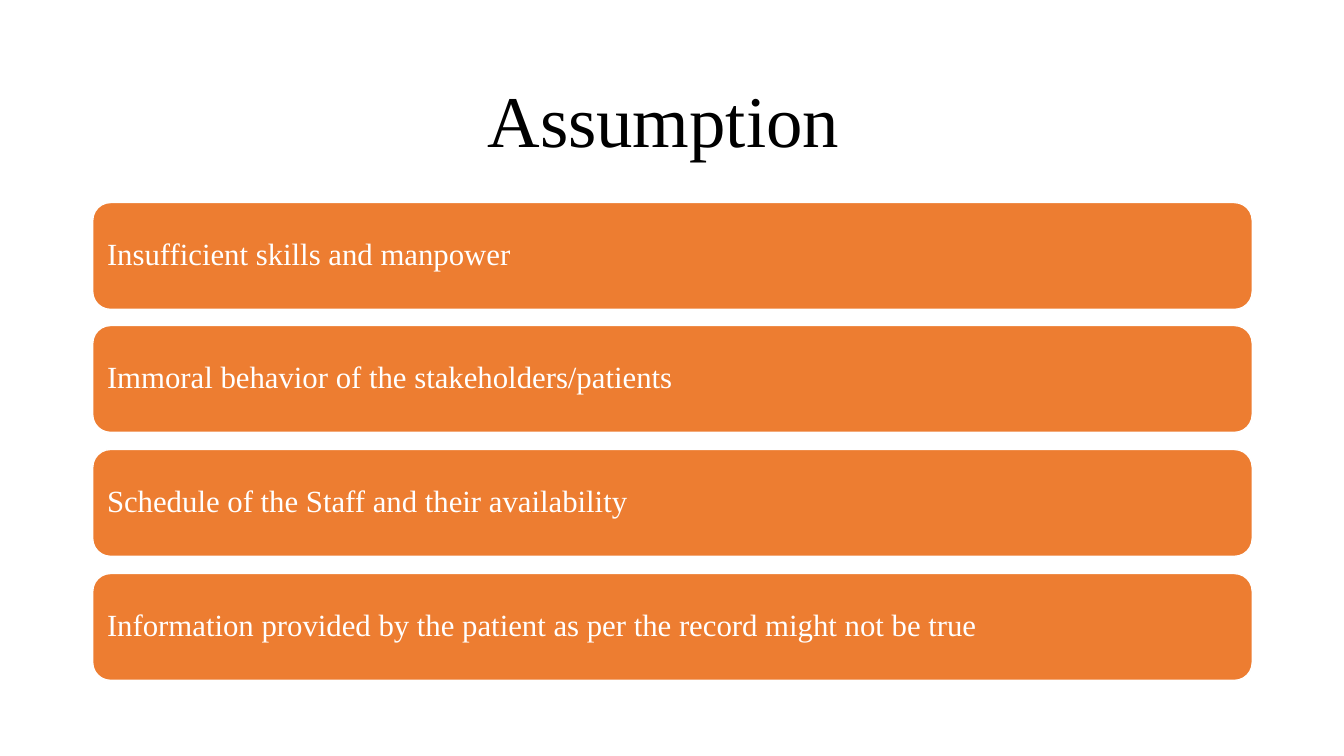
from pptx import Presentation
from pptx.dml.color import RGBColor
from pptx.enum.shapes import MSO_SHAPE as SHAPE
from pptx.enum.text import MSO_ANCHOR as ANCHOR, MSO_AUTO_SIZE as AUTO_SIZE, PP_ALIGN as ALIGN
from pptx.util import Emu, Pt

PX = 9144  # EMU per px, 100 px to the inch
FONT = "Times New Roman"
COLORS = {"title": "000000", "bar": "ED7D31", "light": "FFFFFF"}

LEFT, WIDTH = 92, 1150
BARS_TOP, BARS_BOTTOM, BAR_H = 201, 675, 106
ASSUMPTIONS = [
    "Insufficient skills and manpower",
    "Immoral behavior of the stakeholders/patients",
    "Schedule of the Staff and their availability",
    "Information provided by the patient as per the record might not be true",
]


def px(n):
    return Emu(n * PX)


def color(name):
    return RGBColor.from_string(COLORS[name])


def set_text(tf, text, size, color_name, align):
    tf.text = text
    tf.word_wrap = True
    tf.auto_size = AUTO_SIZE.NONE
    tf.vertical_anchor = ANCHOR.MIDDLE
    p = tf.paragraphs[0]
    p.alignment = align
    p.line_spacing = 0.9
    font = p.runs[0].font
    font.name, font.size = FONT, Pt(size)
    font.color.rgb = color(color_name)


def add_title(s, text):
    title = s.shapes.title
    title.left, title.top, title.width, title.height = map(px, (LEFT, 61, WIDTH, 124))
    set_text(title.text_frame, text, 52, "title", ALIGN.CENTER)


def add_bar(s, top, text):
    bar = s.shapes.add_shape(SHAPE.ROUNDED_RECTANGLE, px(LEFT), px(top), px(WIDTH), px(BAR_H))
    bar.shadow.inherit = False
    bar.fill.solid()
    bar.fill.fore_color.rgb = color("bar")
    bar.line.color.rgb = color("light")
    bar.line.width = Pt(1)
    tf = bar.text_frame
    tf.margin_left = tf.margin_right = tf.margin_top = tf.margin_bottom = px(9)
    set_text(tf, text, 22, "light", ALIGN.LEFT)


def main():
    prs = Presentation()
    prs.slide_width, prs.slide_height = px(1333), px(750)
    s = prs.slides.add_slide(prs.slide_layouts[5])
    add_title(s, "Assumption ")
    span = BARS_BOTTOM - BAR_H - BARS_TOP
    for i, text in enumerate(ASSUMPTIONS):
        add_bar(s, BARS_TOP + i * span // (len(ASSUMPTIONS) - 1), text)
    prs.save("out.pptx")


if __name__ == "__main__":
    main()
